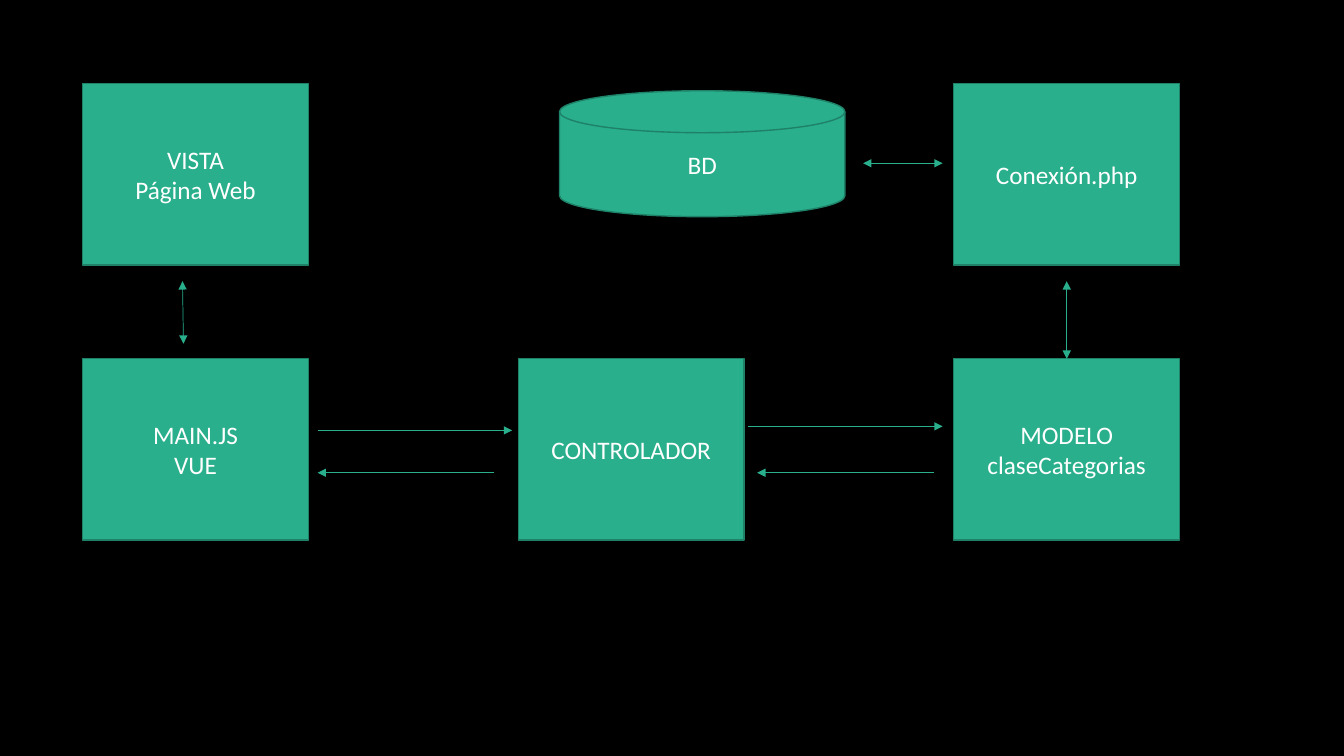
"""Build the MVC flow diagram: web view, controller, model and database."""
from dataclasses import dataclass

from lxml import etree
from pptx import Presentation
from pptx import util as u
from pptx.dml.color import RGBColor
from pptx.enum import shapes, text
from pptx.oxml import ns


@dataclass(frozen=True)
class Theme:
    background: RGBColor = RGBColor(0x00, 0x00, 0x00)
    accent: RGBColor = RGBColor(0x29, 0xAF, 0x8C)
    outline: RGBColor = RGBColor(0x1E, 0x81, 0x68)
    label: RGBColor = RGBColor(0xFF, 0xFF, 0xFF)
    font: str = "Calibri"
    size: u.Pt = u.Pt(18)
    border: u.Pt = u.Pt(1)
    arrow: u.Pt = u.Pt(0.5)


theme = Theme()
LEFT, TOP = 0.82, 0.83
BOX_W, BOX_H = 2.24, 1.8
COL_STEP, ROW_STEP = 4.32, 2.73
columns = [LEFT + COL_STEP * i for i in range(3)]
rows = [TOP + ROW_STEP * i for i in range(2)]

deck = Presentation()
deck.slide_width, deck.slide_height = u.Inches(13.33), u.Inches(7.5)
slide = deck.slides.add_slide(deck.slide_layouts[6])
slide.background.fill.solid()
slide.background.fill.fore_color.rgb = theme.background


def add_component(preset, lines, left, top, width=BOX_W, height=BOX_H):
    component = slide.shapes.add_shape(preset, *map(u.Inches, (left, top, width, height)))
    component.shadow.inherit = False
    component.fill.solid()
    component.fill.fore_color.rgb = theme.accent
    component.line.color.rgb = theme.outline
    component.line.width = theme.border
    frame = component.text_frame
    frame.word_wrap = True
    frame.vertical_anchor = text.MSO_ANCHOR.MIDDLE
    frame.text = "\n".join(lines)
    for paragraph in frame.paragraphs:
        paragraph.alignment = text.PP_ALIGN.CENTER
        paragraph.font.name = theme.font
        paragraph.font.size = theme.size
        paragraph.font.color.rgb = theme.label


def add_arrow(start, end, ends):
    arrow = slide.shapes.add_connector(
        shapes.MSO_CONNECTOR.STRAIGHT, *map(u.Inches, (*start, *end)))
    arrow.line.color.rgb = theme.accent
    arrow.line.width = theme.arrow
    properties = arrow.element.spPr
    outline = properties.find(ns.qn("a:ln"))
    for tip in ends:
        etree.SubElement(outline, ns.qn(f"a:{tip}"), type="triangle")
    etree.SubElement(properties, ns.qn("a:effectLst"))


add_component(shapes.MSO_SHAPE.FLOWCHART_MAGNETIC_DISK, ["BD"], 5.55, 0.9, 2.83, 1.25)
for column, row, lines in [
    (0, 0, ["VISTA", "Página Web"]),
    (0, 1, ["MAIN.JS", "VUE"]),
    (1, 1, ["CONTROLADOR"]),
    (2, 1, ["MODELO", "claseCategorias"]),
    (2, 0, ["Conexión.php"]),
]:
    add_component(shapes.MSO_SHAPE.RECTANGLE, lines, columns[column], rows[row])

one_way, two_way = ["tailEnd"], ["headEnd", "tailEnd"]
below_top_row = rows[0] + BOX_H + 0.16
model_center = columns[2] + BOX_W / 2
before_model = columns[2] - 0.11
reply_y = 4.69

for start, end, ends in [
    ((8.56, 1.62), (before_model, 1.62), two_way),
    ((model_center, below_top_row), (model_center, rows[1]), two_way),
    ((3.15, 4.27), (5.08, 4.27), one_way),
    ((7.42, 4.23), (before_model, 4.23), one_way),
    ((9.26, reply_y), (7.51, reply_y), one_way),
    ((4.9, reply_y), (3.15, reply_y), one_way),
    ((1.81, below_top_row), (1.82, 3.41), two_way),
]:
    add_arrow(start, end, ends)

deck.save("out.pptx")
